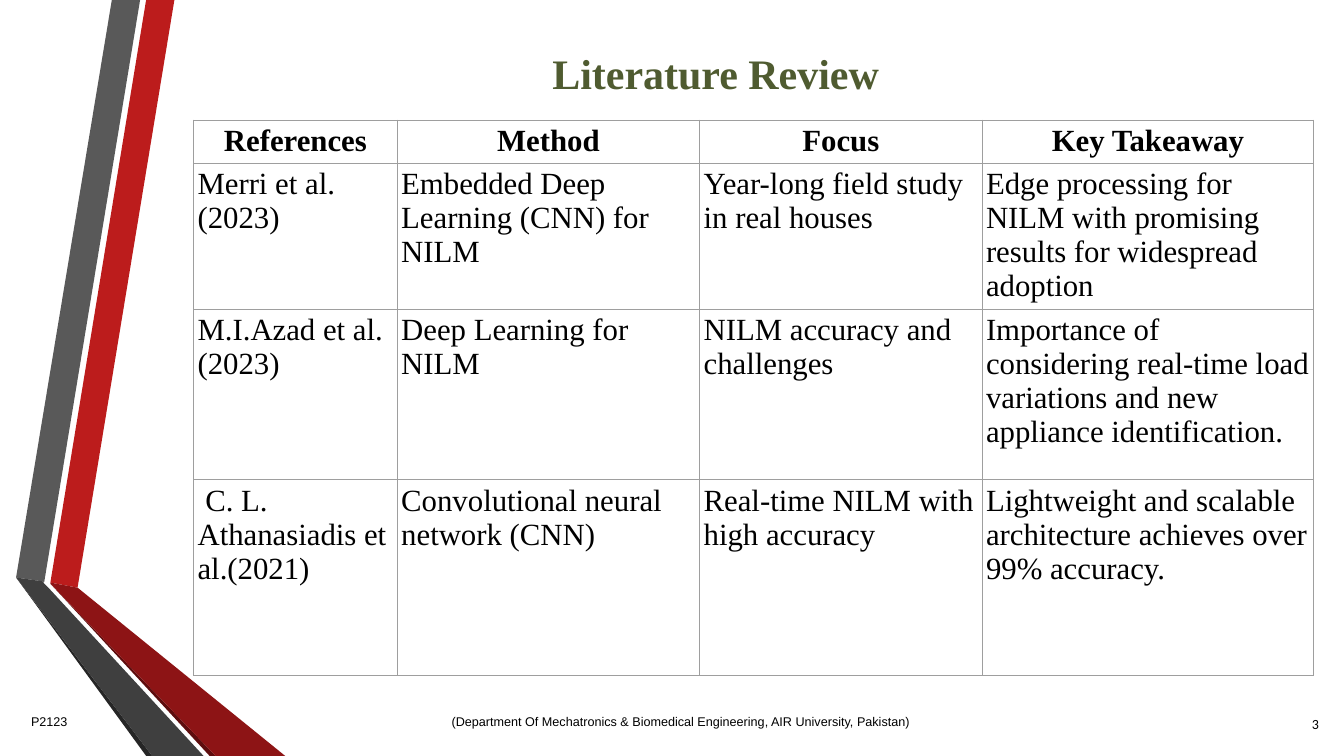
"""Build the Literature Review slide."""
import pptx
import pptx.util
import pptx.dml.color
import pptx.enum.text
import pptx.oxml
import pptx.oxml.ns

Inches = pptx.util.Inches
Pt = pptx.util.Pt
ALIGN = pptx.enum.text.PP_ALIGN
ANCHOR = pptx.enum.text.MSO_ANCHOR

COLORS = {
    "red": "BC1C1C", "gray": "595959", "gray edge": "262626", "red edge": "5E0D0E",
    "dark red": "8D1415", "dark gray": "3F3F3F", "title": "4F5B30",
    "text": "000000", "border": "9E9E9E",
}
RIBBONS = [
    ("red", [(0.5, 5.78), (0.77, 5.83), (1.73, 0), (1.45, 0)]),
    ("gray", [(1.39, 0), (1.11, 0), (0.16, 5.73), (0.44, 5.77)]),
    ("gray edge", [(0.16, 5.73), (1.45, 7.5), (1.51, 7.5)]),
    ("red edge", [(0.5, 5.79), (2.08, 7.5), (2.14, 7.5)]),
    ("dark red", [(0.5, 5.79), (2.14, 7.5), (2.83, 7.5), (0.77, 5.83), (0.5, 5.78)]),
    ("dark gray", [(2.02, 7.5), (0.48, 5.83), (0.43, 5.78), (0.44, 5.77),
                   (0.16, 5.73), (1.51, 7.5)]),
]
TEXTS = [
    ("P2123", (0.21, 7.01, 0.7, 0.35), 0.1, ANCHOR.TOP, ALIGN.LEFT,
     ("Arial", 9, "text", False)),
    ("(Department Of Mechatronics & Biomedical Engineering, AIR University, Pakistan)",
     (4.23, 7.01, 5.04, 0.35), 0.1, ANCHOR.TOP, ALIGN.CENTER, ("Arial", 9, "text", False)),
    ("Literature Review", (1.62, 0.25, 10.96, 0.95), 0.05, ANCHOR.MIDDLE, ALIGN.CENTER,
     ("Times New Roman", 30, "title", True)),
    ("3", (12.58, 6.98, 0.6, 0.4), 0.05, ANCHOR.MIDDLE, ALIGN.RIGHT,
     ("Calibri", 10, "text", False)),
]
REVIEW = [
    ("References", "Method", "Focus", "Key Takeaway"),
    ("Merri et al. (2023)", "Embedded Deep Learning (CNN) for NILM",
     "Year-long field study in real houses",
     "Edge processing for NILM with promising results for widespread adoption"),
    ("M.I.Azad et al. (2023)", "Deep Learning for NILM", "NILM accuracy and challenges",
     "Importance of considering real-time load variations and new appliance identification."),
    (" C. L. Athanasiadis et al.(2021)", "Convolutional neural network (CNN)",
     "Real-time NILM with high accuracy",
     "Lightweight and scalable architecture achieves over 99% accuracy."),
]
TABLE_LEFT, TABLE_TOP = 1.92, 1.19
COLUMN_WIDTHS = [2.02, 3, 2.8, 3.29]
ROW_HEIGHTS = [0.43, 1.45, 1.69, 1.94]
CELL_MARGIN = 0.04
LINE_PITCH = 24.3
UNITS_PER_INCH = 100


def rgb(name):
    return pptx.dml.color.RGBColor.from_string(COLORS[name])


def write(text_frame, text, align, style):
    font_name, size, color, bold = style
    text_frame.text = text
    paragraph = text_frame.paragraphs[0]
    paragraph.alignment = align
    font = paragraph.runs[0].font
    font.name, font.size, font.bold = font_name, Pt(size), bold
    font.color.rgb = rgb(color)


def add_ribbon(slide, color, points):
    corners = [(round(x * UNITS_PER_INCH), round(y * UNITS_PER_INCH)) for x, y in points]
    builder = slide.shapes.build_freeform(*corners[0], scale=Inches(1) / UNITS_PER_INCH)
    builder.add_line_segments(corners[1:], close=True)
    shape = builder.convert_to_shape()
    shape.shadow.inherit = False
    shape.fill.solid()
    shape.fill.fore_color.rgb = rgb(color)
    shape.line.fill.background()


def add_text(slide, text, box, vertical_margin, anchor, align, style):
    text_frame = slide.shapes.add_textbox(*map(Inches, box)).text_frame
    text_frame.word_wrap = True
    text_frame.vertical_anchor = anchor
    text_frame.margin_left = text_frame.margin_right = Inches(0.1)
    text_frame.margin_top = text_frame.margin_bottom = Inches(vertical_margin)
    write(text_frame, text, align, style)


def add_borders(cell):
    properties = cell._tc.get_or_add_tcPr()
    for side in ("lnL", "lnR", "lnT", "lnB"):
        properties.append(pptx.oxml.parse_xml(
            f'<a:{side} {pptx.oxml.ns.nsdecls("a")} w="{Pt(0.75)}"><a:solidFill>'
            f'<a:srgbClr val="{COLORS["border"]}"/></a:solidFill></a:{side}>'))


def add_review(slide):
    table = slide.shapes.add_table(
        len(REVIEW), len(COLUMN_WIDTHS), Inches(TABLE_LEFT), Inches(TABLE_TOP),
        Inches(sum(COLUMN_WIDTHS)), Inches(sum(ROW_HEIGHTS))).table
    table.first_row = table.horz_banding = False
    for column, width in zip(table.columns, COLUMN_WIDTHS):
        column.width = Inches(width)
    for row, height, texts in zip(table.rows, ROW_HEIGHTS, REVIEW):
        row.height = Inches(height)
        header = texts is REVIEW[0]
        align = ALIGN.CENTER if header else ALIGN.LEFT
        for cell, text in zip(row.cells, texts):
            cell.margin_left = cell.margin_right = Inches(CELL_MARGIN)
            cell.margin_top = cell.margin_bottom = Inches(CELL_MARGIN)
            add_borders(cell)
            cell.fill.background()
            write(cell.text_frame, text, align, ("Times New Roman", 22, "text", header))
            cell.text_frame.paragraphs[0].line_spacing = Pt(LINE_PITCH)


def main():
    presentation = pptx.Presentation()
    presentation.slide_width, presentation.slide_height = Inches(13.33), Inches(7.5)
    slide = presentation.slides.add_slide(presentation.slide_layouts[6])
    for color, points in RIBBONS:
        add_ribbon(slide, color, points)
    for entry in TEXTS:
        add_text(slide, *entry)
    add_review(slide)
    presentation.save("out.pptx")


if __name__ == "__main__":
    main()
